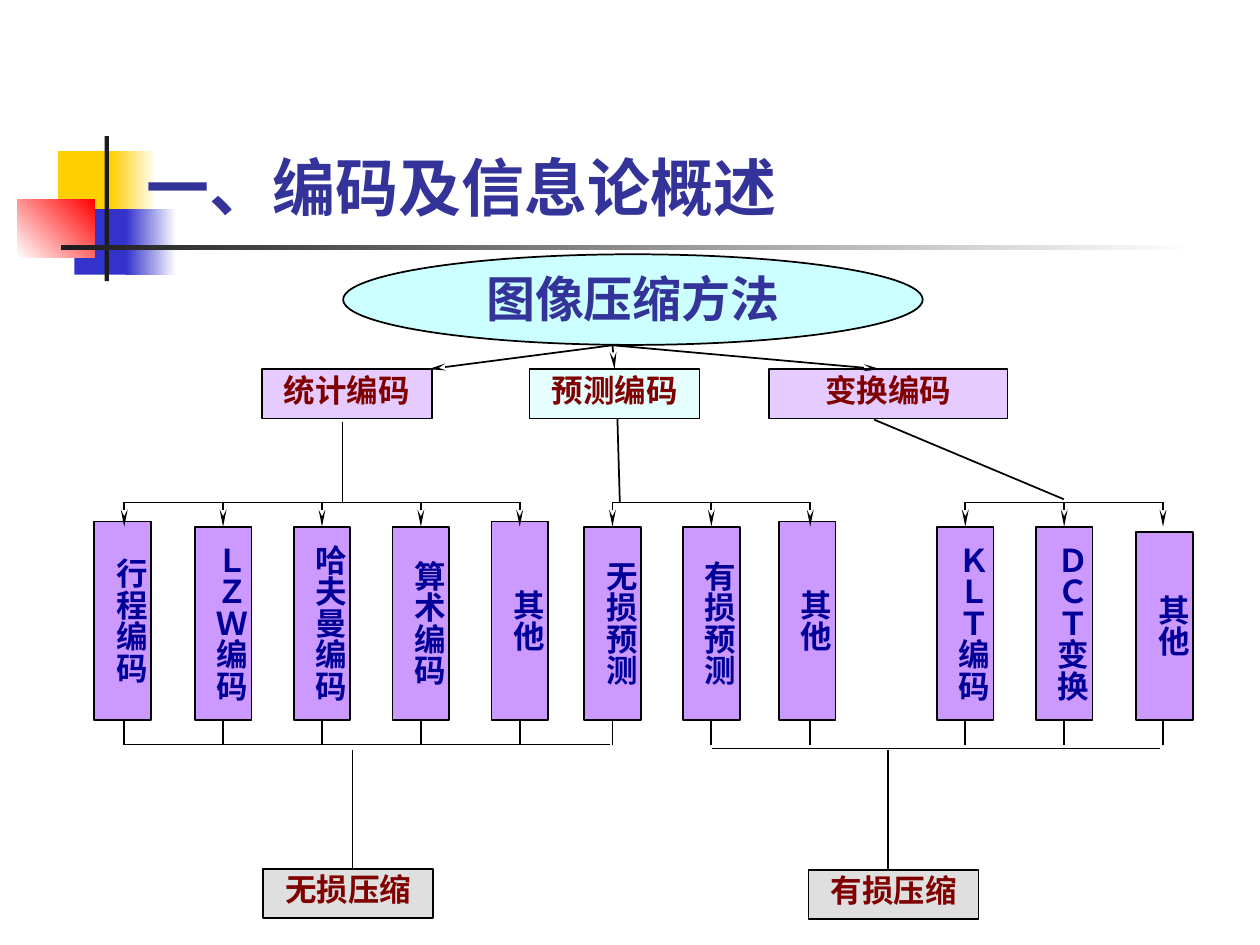
from typing import NamedTuple, Optional

from lxml import etree
from pptx import Presentation
from pptx.dml.color import RGBColor
from pptx.enum.shapes import MSO_CONNECTOR, MSO_SHAPE
from pptx.enum.text import MSO_ANCHOR, PP_ALIGN
from pptx.oxml.ns import qn
from pptx.util import Pt

RECT, OVAL = MSO_SHAPE.RECTANGLE, MSO_SHAPE.OVAL
STRAIGHT = MSO_CONNECTOR.STRAIGHT
TOP, BOTTOM = MSO_ANCHOR.TOP, MSO_ANCHOR.BOTTOM
LEFT, CENTER = PP_ALIGN.LEFT, PP_ALIGN.CENTER
TOP_SITE, BOTTOM_SITE = 0, 2

COLORS = {
    "yellow": "FFCF01", "blue": "3333CC", "red": "FF0000", "dark": "1C1C1C",
    "white": "FFFFFF", "black": "000000", "violet": "CC99FF", "cyan": "CCFFFF",
    "gray": "C0C0C0", "maroon": "800000", "navy": "000099", "indigo": "333399",
}
SERIF, SANS, CJK = "Times New Roman", "Arial", "Noto Sans CJK SC"

PITCH, LEAF_W, LEAF_TOP, LEAF_BOTTOM = 56.5, 32.4, 301, 411.6
BRANCH_Y, MERGE_Y = 287.1, 425.5


class Ornament(NamedTuple):
    x: float
    y: float
    w: float
    h: float
    color: str
    fade_to: Optional[str] = None
    angle: float = 0


class Box(NamedTuple):
    text: str
    x: float
    y: float
    w: float
    h: float
    fill: str
    color: str = "maroon"
    size: float = 18
    font: str = SERIF
    shape: int = RECT
    opacity: int = 100
    vertical: bool = False


class Leaf(NamedTuple):
    text: str
    top: float = LEAF_TOP
    shift: float = 0


class Group(NamedTuple):
    first_x: float
    leaves: list[Leaf]


class Line(NamedTuple):
    x1: float
    y1: float
    x2: float
    y2: float
    arrow: bool = False


ORNAMENTS = [
    Ornament(33.1, 86.4, 34.6, 37.4, "yellow"),
    Ornament(63.4, 86.4, 25.9, 37.4, "yellow", "white"),
    Ornament(42.5, 119.5, 33.1, 37.4, "blue"),
    Ornament(72, 119.5, 28.8, 37.4, "blue", "white"),
    Ornament(10, 113.8, 44.3, 33.5, "white", "red", 45),
    Ornament(59.8, 77.8, 2.4, 82.8, "dark"),
    Ornament(34.8, 140.2, 648, 2.4, "dark", "white"),
]
BOXES = [
    Box("变换编码", 439.6, 211, 136.1, 28.1, "violet", opacity=50),
    Box("统计编码", 149.6, 211, 97.2, 28.1, "violet", opacity=50),
    Box("图像压缩方法", 196.1, 145.3, 331.2, 51.8, "cyan", "indigo", 28, shape=OVAL),
    Box("有损压缩", 462, 497.2, 97.2, 28.1, "gray", opacity=50),
    Box("无损压缩", 150.3, 496.6, 97.2, 28.1, "gray", opacity=50),
]
PREDICTION = Box("预测编码", 302.6, 211, 97.2, 28.1, "cyan", opacity=50)
GROUPS = [
    Group(71, [Leaf("行程编码", 298, -1), Leaf("ＬＺＷ编码"), Leaf("哈夫曼编码"),
               Leaf("算术编码"), Leaf("其他", 298)]),
    Group(350, [Leaf("无损预测"), Leaf("有损预测"), Leaf("其他", 298, -1.8)]),
    Group(551.6, [Leaf("ＫＬＴ编码"), Leaf("ＤＣＴ变换"), Leaf("其他", 304, 0.8)]),
]
LINES = [
    Line(350, 197.3, 503.3, 211, True),
    Line(350, 197.3, 244.8, 211, True),
    Line(352.8, 239, 354.2, BRANCH_Y),
    Line(195.8, 241, 195.8, BRANCH_Y),
    Line(499.5, 239.8, 607.9, 285.3),
    Line(71, MERGE_Y, 348.5, MERGE_Y),
    Line(407, 427.7, 662.6, 427.7),
    Line(201.4, 428.4, 201.4, 496.6),
    Line(507.6, 428.4, 507.6, 497.2),
]


def rgb(name: str) -> RGBColor:
    return RGBColor.from_string(COLORS[name])


def write(tf, text: str, font: str, size: float, color: str,
          align=CENTER, anchor=TOP) -> None:
    tf.text = text
    tf.word_wrap = True
    tf.vertical_anchor = anchor
    p = tf.paragraphs[0]
    p.alignment = align
    r = p.runs[0]
    r.font.name, r.font.size, r.font.bold = font, Pt(size), True
    r.font.color.rgb = rgb(color)
    etree.SubElement(r.font._element, qn("a:ea"), typeface=CJK)


def add_ornament(s, item: Ornament) -> None:
    sp = s.shapes.add_shape(RECT, Pt(item.x), Pt(item.y), Pt(item.w), Pt(item.h))
    sp.shadow.inherit = False
    sp.line.fill.background()
    if item.fade_to is None:
        sp.fill.solid()
        sp.fill.fore_color.rgb = rgb(item.color)
        return
    sp.fill.gradient()
    sp.fill.gradient_angle = item.angle
    for stop, color in zip(sp.fill.gradient_stops, (item.color, item.fade_to)):
        stop.color.rgb = rgb(color)


def add_box(s, box: Box):
    sp = s.shapes.add_shape(box.shape, Pt(box.x), Pt(box.y), Pt(box.w), Pt(box.h))
    sp.shadow.inherit = False
    sp.fill.solid()
    sp.fill.fore_color.rgb = rgb(box.fill)
    if box.opacity < 100:
        color = sp._element.spPr.find(qn("a:solidFill"))[0]
        etree.SubElement(color, qn("a:alpha"), val=str(box.opacity * 1000))
    sp.line.color.rgb = rgb("black")
    sp.line.width = Pt(1)
    tf = sp.text_frame
    tf.margin_left = tf.margin_right = tf.margin_top = tf.margin_bottom = Pt(0.7)
    write(tf, box.text, box.font, box.size, box.color)
    if box.vertical:
        tf._txBody.bodyPr.set("vert", "eaVert")
        tf._txBody.bodyPr.set("anchorCtr", "1")
    return sp


def add_line(s, line: Line):
    c = s.shapes.add_connector(
        STRAIGHT, Pt(line.x1), Pt(line.y1), Pt(line.x2), Pt(line.y2))
    c.line.color.rgb = rgb("black")
    c.line.width = Pt(1)
    if line.arrow:
        etree.SubElement(c.line._get_or_add_ln(), qn("a:tailEnd"),
                         type="stealth", w="sm", len="lg")
    etree.SubElement(c._element.spPr, qn("a:effectLst"))
    return c


def add_group(s, group: Group) -> None:
    """Draw a branch bar with its vertical boxes and the stems above and below."""
    last_x = group.first_x + PITCH * (len(group.leaves) - 1)
    add_line(s, Line(group.first_x, BRANCH_Y, last_x, BRANCH_Y))
    for i, leaf in enumerate(group.leaves):
        x = group.first_x + PITCH * i
        sp = add_box(s, Box(leaf.text, x + leaf.shift - LEAF_W / 2, leaf.top, LEAF_W,
                            LEAF_BOTTOM - leaf.top, "violet", "navy",
                            font=SANS, vertical=True))
        arrow = add_line(s, Line(x, BRANCH_Y, x, LEAF_TOP, arrow=True))
        if leaf.top == LEAF_TOP:
            arrow.end_connect(sp, TOP_SITE)
        stem = add_line(s, Line(x, LEAF_BOTTOM, x, MERGE_Y))
        if leaf.shift == 0:
            stem.begin_connect(sp, BOTTOM_SITE)


def main() -> None:
    prs = Presentation()
    prs.slide_width, prs.slide_height = Pt(720), Pt(540)
    s = prs.slides.add_slide(prs.slide_layouts[6])
    for item in ORNAMENTS:
        add_ornament(s, item)
    for box in BOXES:
        add_box(s, box)
    prediction = add_box(s, PREDICTION)
    add_line(s, Line(350, 197.3, 350, 211, True)).end_connect(prediction, TOP_SITE)
    for group in GROUPS:
        add_group(s, group)
    for line in LINES:
        add_line(s, line)
    title = s.shapes.add_textbox(Pt(76.6), Pt(77.2), Pt(613.4), Pt(54.7))
    write(title.text_frame, "一、编码及信息论概述", CJK, 36, "indigo", LEFT, BOTTOM)
    prs.save("out.pptx")


if __name__ == "__main__":
    main()
